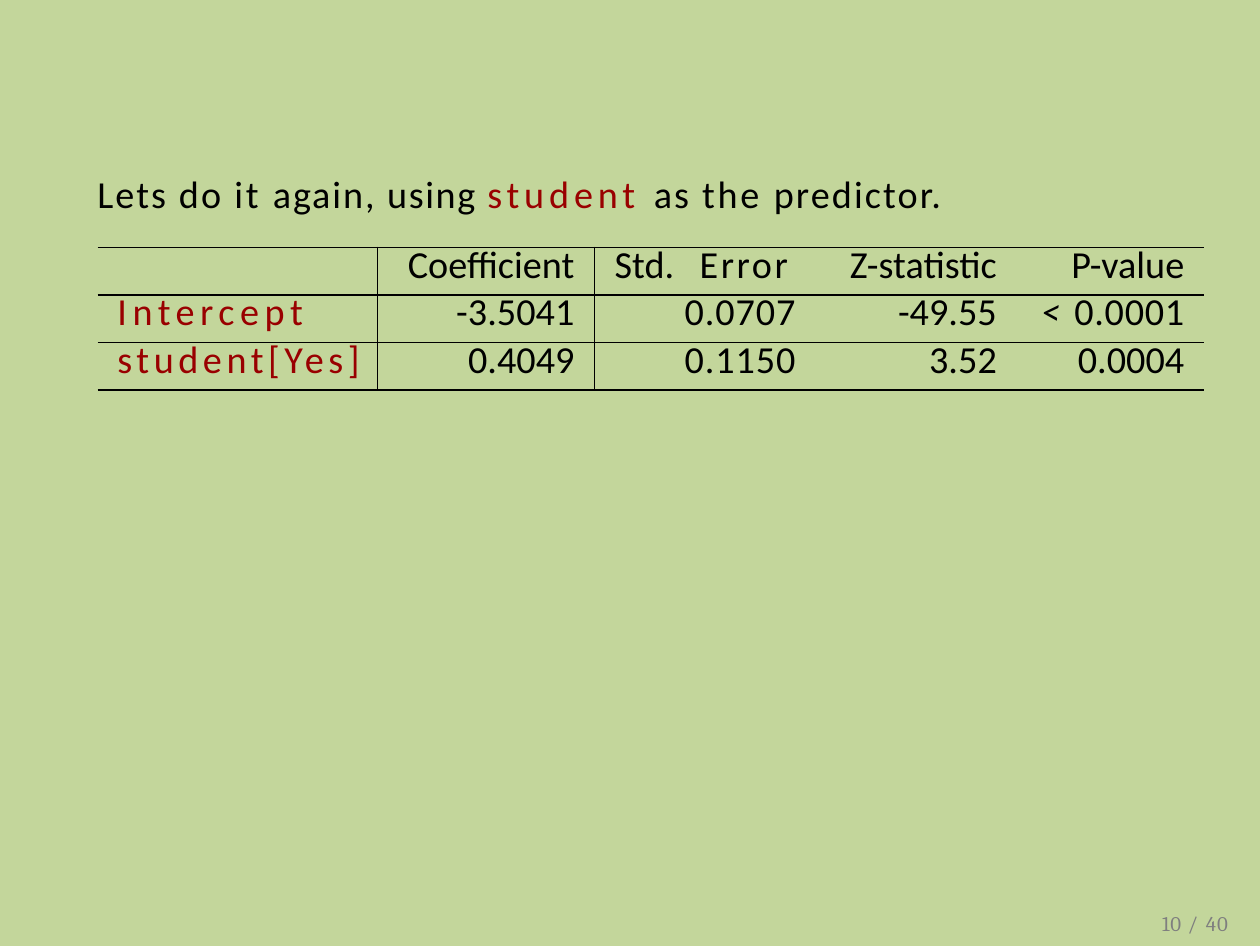
from dataclasses import dataclass

from pptx import Presentation
from pptx.dml.color import RGBColor
from pptx.enum.text import MSO_ANCHOR as Anchor, PP_ALIGN as Align
from pptx.oxml.xmlchemy import OxmlElement as element
from pptx.util import Inches, Pt

BLACK, RED, GRAY, GREEN = "000000", "990000", "7F7F7F", "C3D69B"
POINTS_PER_INCH = 72


@dataclass
class Span:
    text: str
    spacing: float = 0
    color: str = BLACK
    italic: bool = False


@dataclass
class Entry:
    row: int
    column: int
    spans: list[Span]
    indent: float | None = None  # None: aligned right
    columns: int = 1


def rgb(value: str) -> RGBColor:
    return RGBColor.from_string(value)


def write(frame, spans: list[Span], *, font: str = "Calibri", size: float = 11,
          align=Align.LEFT, indent: float = 0, line: float | None = None,
          before: float = 0) -> None:
    paragraph = frame.paragraphs[0]
    paragraph.alignment = align
    paragraph.space_before = Pt(before)
    if line:
        paragraph.line_spacing = Pt(line)
    properties = paragraph._p.get_or_add_pPr()
    properties.set("marL", str(Inches(indent)))
    properties.set("indent", "0")
    for span in spans:
        run = paragraph.add_run()
        run.text = span.text
        run.font.name, run.font.size = font, Pt(size)
        run.font.italic = span.italic
        run.font.color.rgb = rgb(span.color)
        run._r.get_or_add_rPr().set("spc", str(round(span.spacing * 100)))
    # Keeps empty cells from growing their row
    end = element("a:endParaRPr")
    end.set("sz", str(round(size * 100)))
    paragraph._p.append(end)


def add_text(slide, left: float, top: float, width: float, height: float,
             spans: list[Span], inset: float = 0, **style) -> None:
    frame = slide.shapes.add_textbox(
        Inches(left), Inches(top), Inches(width), Inches(height)).text_frame
    frame.word_wrap = True
    frame.margin_left = frame.margin_right = frame.margin_bottom = 0
    frame.margin_top = Inches(inset)
    write(frame, spans, **style)


def set_borders(cell, ruled: str) -> None:
    """Rule the sides named in ruled (L, R, T, B) and clear the others."""
    properties = cell._tc.get_or_add_tcPr()
    for side in "LRTB":
        edge = element(f"a:ln{side}")
        edge.set("w", str(Pt(0.5)))
        if side in ruled:
            fill, color = element("a:solidFill"), element("a:srgbClr")
            color.set("val", BLACK)
            fill.append(color)
        else:
            fill = element("a:noFill")
        edge.append(fill)
        properties.append(edge)


def add_coefficients(slide, entries: list[Entry]) -> None:
    widths, row_height, row_count = [1.12, 0.87, 0.35, 0.51, 0.83, 0.75], 0.19, 3
    table = slide.shapes.add_table(
        row_count, len(widths), Inches(0.39), Inches(0.99),
        Inches(sum(widths)), Inches(row_height * row_count)).table
    table.first_row = table.horz_banding = False
    for column, width in zip(table.columns, widths):
        column.width = Inches(width)
    for row in table.rows:
        row.height = Inches(row_height)

    # Vertical rules stand on both sides of the coefficients
    vertical = {0: "R", 1: "LR", 2: "L"}
    placed = {(entry.row, entry.column): entry for entry in entries}
    for row in range(row_count):
        for column in range(len(widths)):
            cell = table.cell(row, column)
            entry = placed.get((row, column), Entry(row, column, [], 0))
            right = entry.indent is None
            cell.margin_left = cell.margin_top = cell.margin_bottom = 0
            cell.margin_right = Inches(0.08 if right else 0)
            cell.vertical_anchor = Anchor.TOP
            set_borders(cell, "TB" + vertical.get(column, ""))
            cell.fill.background()
            write(cell.text_frame, entry.spans, line=11.9,
                  align=Align.RIGHT if right else Align.LEFT,
                  indent=entry.indent or 0)
    for entry in entries:
        if entry.columns > 1:
            last = table.cell(entry.row, entry.column + entry.columns - 1)
            table.cell(entry.row, entry.column).merge(last)


SENTENCE = [
    Span("Lets do ", 0.6), Span("it ", 0.8), Span("again, ", 0.55),
    Span("using ", 0.45), Span("student ", 1.4, RED), Span("as ", 0.6),
    Span("the ", 0.8), Span("predictor.", 0.6),
]
ENTRIES = [
    Entry(0, 1, [Span("Coefficient")]),
    Entry(0, 2, [Span("Std.")], 0.08),
    Entry(0, 3, [Span("Error", 0.75)], 0.07),
    Entry(0, 4, [Span("Z-statistic")]),
    Entry(0, 5, [Span("P-value")]),
    Entry(1, 0, [Span("Intercept", 1.6, RED)], 0.08),
    Entry(1, 1, [Span("-3.5041")]),
    Entry(1, 2, [Span("0.0707", 0.25)], 0.36, 2),
    Entry(1, 4, [Span("-49.55")]),
    Entry(1, 5, [Span("< ", 0.8, italic=True), Span("0.0001", 0.2)]),
    Entry(2, 0, [Span("student[Yes]", 1.3, RED)], 0.08),
    Entry(2, 1, [Span("0.4049")]),
    Entry(2, 2, [Span("0.1150", 0.25)], 0.36, 2),
    Entry(2, 4, [Span("3.52")]),
    Entry(2, 5, [Span("0.0004")]),
]
PAGE = [Span("10 ", 0.25, GRAY), Span("/ ", 0.5, GRAY), Span("40", 0.25, GRAY)]


def main() -> None:
    deck = Presentation()
    deck.slide_width = Inches(363 / POINTS_PER_INCH)
    deck.slide_height = Inches(272.5 / POINTS_PER_INCH)
    slide = deck.slides.add_slide(deck.slide_layouts[6])
    slide.background.fill.solid()
    slide.background.fill.fore_color.rgb = rgb(GREEN)

    # Sentence, page number and regression table
    add_text(slide, 0.38, 0.67, 3.72, 0.2, SENTENCE, 0.01, indent=0.01, before=0.9)
    add_text(slide, 4.64, 3.65, 0.32, 0.11, PAGE,
             font="Cambria", size=6, indent=0.01, line=6.7)
    add_coefficients(slide, ENTRIES)
    deck.save("out.pptx")


if __name__ == "__main__":
    main()
